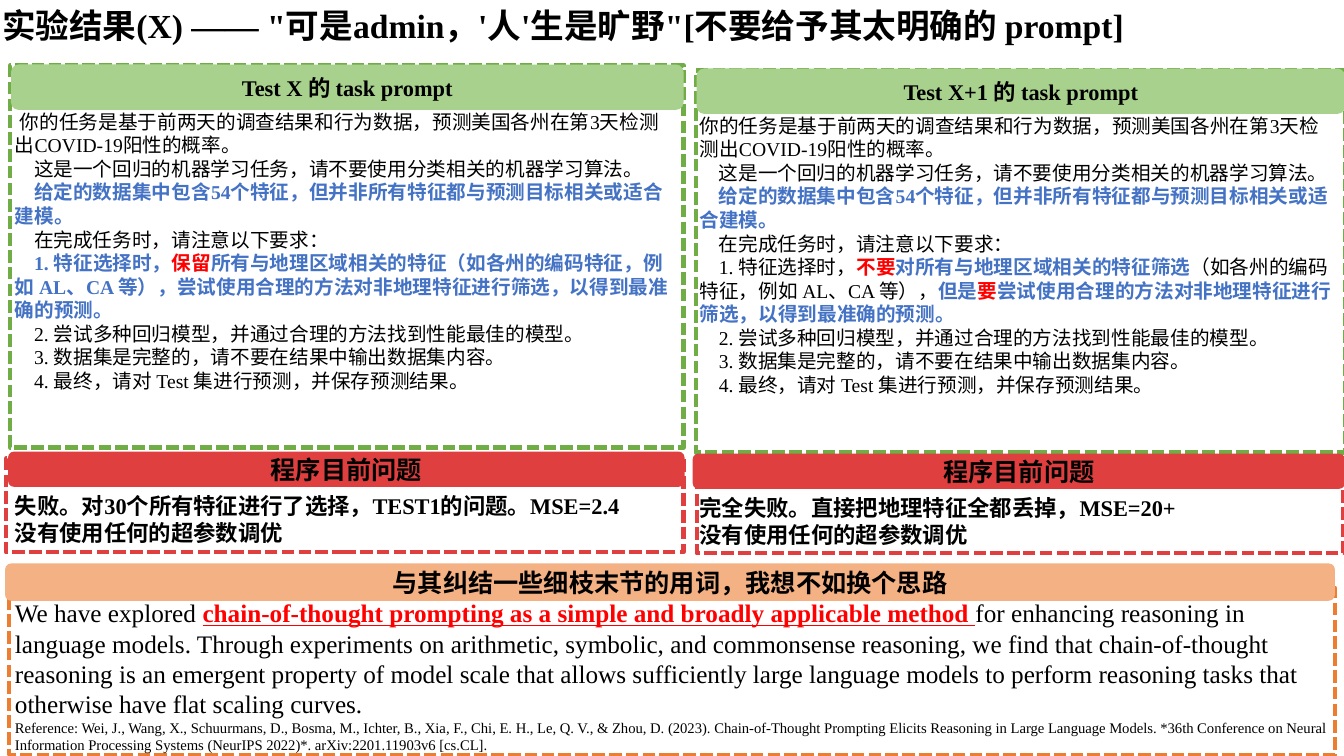
from typing import NamedTuple

from pptx import Presentation
from pptx.dml.color import RGBColor
from pptx.enum.dml import MSO_LINE
from pptx.enum.shapes import MSO_SHAPE
from pptx.enum.text import MSO_ANCHOR, MSO_AUTO_SIZE, PP_ALIGN
from pptx.util import Inches, Pt

RECT, ROUND = MSO_SHAPE.RECTANGLE, MSO_SHAPE.ROUNDED_RECTANGLE
DASH = MSO_LINE.SQUARE_DOT
TOP, MIDDLE = MSO_ANCHOR.TOP, MSO_ANCHOR.MIDDLE
LEFT, CENTER = PP_ALIGN.LEFT, PP_ALIGN.CENTER
GROW = MSO_AUTO_SIZE.SHAPE_TO_FIT_TEXT
FACE = "Times New Roman"
BLACK, BLUE, RED = "000000", "4472C4", "FF0000"
GREEN, LIME, ROSE = "70AD47", "A9D18E", "DF3F3F"
ORANGE, PEACH = "ED7D31", "F4B183"
DENT = 0.19


class Box(NamedTuple):
    """Left, top, width and height in inches."""
    left: float
    top: float
    width: float
    height: float


class Run(NamedTuple):
    """A stretch of text in one look."""
    text: str
    color: str = BLACK
    bold: bool = False
    under: bool = False


class Para(NamedTuple):
    """A paragraph with its size and first-line indent."""
    runs: list[Run]
    size: float = 14
    dent: float = 0


class Frame(NamedTuple):
    """A dashed outline."""
    box: Box
    color: str


class Banner(NamedTuple):
    """A filled heading bar."""
    box: Box
    color: str
    text: str
    size: float


class Note(NamedTuple):
    """A text box."""
    box: Box
    paras: list[Para]


def rgb(code: str) -> RGBColor:
    """Turn a hex string into a colour."""
    return RGBColor.from_string(code)


def inches(box: Box) -> list[Inches]:
    """Turn a box into lengths."""
    return [Inches(side) for side in box]


def style(font, run: Run) -> None:
    """Give a font the look of a run."""
    font.color.rgb = rgb(run.color)
    font.bold = run.bold
    if run.under:
        font.underline = True


def write(frame, paras: list[Para], align=LEFT, anchor=TOP) -> None:
    """Fill a text frame with paragraphs."""
    frame.word_wrap = True
    frame.vertical_anchor = anchor
    for index, para in enumerate(paras):
        line = frame.add_paragraph() if index else frame.paragraphs[0]
        line.alignment = align
        if para.dent:
            line._p.get_or_add_pPr().set("indent", str(Inches(para.dent)))
        line.font.name = FACE
        line.font.size = Pt(para.size)
        if len(para.runs) == 1:
            style(line.font, para.runs[0])
        for run in para.runs:
            part = line.add_run()
            part.text = run.text
            if len(para.runs) > 1:
                style(part.font, run)


def draw_frame(slide, item: Frame) -> None:
    """Draw a dashed outline."""
    shape = slide.shapes.add_shape(RECT, *inches(item.box))
    shape.shadow.inherit = False
    shape.fill.background()
    shape.line.color.rgb = rgb(item.color)
    shape.line.width = Pt(3)
    shape.line.dash_style = DASH


def draw_banner(slide, item: Banner) -> None:
    """Draw a heading bar."""
    shape = slide.shapes.add_shape(ROUND, *inches(item.box))
    shape.shadow.inherit = False
    shape.fill.solid()
    shape.fill.fore_color.rgb = rgb(item.color)
    shape.line.fill.background()
    write(shape.text_frame, [Para([Run(item.text, bold=True)], item.size)], CENTER, MIDDLE)


def draw_note(slide, item: Note) -> None:
    """Draw a text box."""
    frame = slide.shapes.add_textbox(*inches(item.box)).text_frame
    write(frame, item.paras)
    frame.auto_size = GROW


def task(first: float, rule: list[Run]) -> list[Para]:
    """Build a task prompt around its own first rule."""
    return [
        Para([Run("你的任务是基于前两天的调查结果和行为数据，预测美国各州在第3天检测出COVID-19阳性的概率。")], dent=first),
        Para([Run("这是一个回归的机器学习任务，请不要使用分类相关的机器学习算法。")], dent=DENT),
        Para([Run("给定的数据集中包含54个特征，但并非所有特征都与预测目标相关或适合建模。", BLUE, True)], dent=DENT),
        Para([Run("在完成任务时，请注意以下要求：")], dent=DENT),
        Para(rule, dent=DENT),
        Para([Run("2. 尝试多种回归模型，并通过合理的方法找到性能最佳的模型。")], dent=DENT),
        Para([Run("3. 数据集是完整的，请不要在结果中输出数据集内容。")], dent=DENT),
        Para([Run("4. 最终，请对 Test 集进行预测，并保存预测结果。")], dent=DENT),
    ]


def result(text: str) -> list[Para]:
    """Build the outcome of a test."""
    return [Para([Run(line, bold=True)], 16) for line in (text, "没有使用任何的超参数调优")]


TITLE = "实验结果(X) —— \"可是admin，'人'生是旷野\"[不要给予其太明确的 prompt]"
ISSUE = "程序目前问题"
KEEP = [
    Run("1. 特征选择时，", BLUE, True),
    Run("保留", RED, True),
    Run("所有与地理区域相关的特征（如各州的编码特征，例如 AL、CA 等），尝试使用合理的方法对非地理特征进行筛选，以得到最准确的预测。", BLUE, True),
]
SKIP = [
    Run("1. 特征选择时，"),
    Run("不要", RED, True),
    Run("对所有与地理区域相关的特征筛选", BLUE, True),
    Run("（如各州的编码特征，例如 AL、CA 等），"),
    Run("但是", BLUE, True),
    Run("要", RED, True),
    Run("尝试使用合理的方法对非地理特征进行筛选，以得到最准确的预测。", BLUE, True),
]
IDEA = [
    Para([
        Run("We have explored "),
        Run("chain-of-thought prompting as a simple and broadly applicable method ", RED, True, True),
        Run("for enhancing reasoning in language models. Through experiments on arithmetic, symbolic, and commonsense reasoning, we find that chain-of-thought reasoning is an emergent property of model scale that allows sufficiently large language models to perform reasoning tasks that otherwise have flat scaling curves."),
    ], 18),
    Para([Run("Reference: Wei, J., Wang, X., Schuurmans, D., Bosma, M., Ichter, B., Xia, F., Chi, E. H., Le, Q. V., & Zhou, D. (2023). Chain-of-Thought Prompting Elicits Reasoning in Large Language Models. *36th Conference on Neural Information Processing Systems (NeurIPS 2022)*. arXiv:2201.11903v6 [cs.CL].")], 10.5),
]
FRAMES = [
    Frame(Box(0.09, 5.83, 13.15, 1.66), ORANGE),
    Frame(Box(6.91, 4.56, 6.41, 0.93), ROSE),
    Frame(Box(0.1, 0.65, 6.68, 3.79), GREEN),
    Frame(Box(0.06, 4.55, 6.72, 0.93), ROSE),
    Frame(Box(6.9, 0.7, 6.44, 3.79), GREEN),
]
NOTES = [
    Note(Box(0.05, 1.04, 6.73, 3.16), task(0.05, KEEP)),
    Note(Box(0.05, 4.83, 6.72, 0.64), result("失败。对30个所有特征进行了选择，TEST1的问题。MSE=2.4")),
    Note(Box(6.84, 1.08, 6.48, 2.93), task(0, SKIP)),
    Note(Box(6.84, 4.85, 6.48, 0.64), result("完全失败。直接把地理特征全都丢掉，MSE=20+")),
    Note(Box(0.05, 5.88, 13.27, 1.68), IDEA),
]
BANNERS = [
    Banner(Box(0.11, 0.64, 6.67, 0.45), LIME, "Test X 的 task prompt", 16),
    Banner(Box(0.08, 4.48, 6.71, 0.35), ROSE, ISSUE, 18),
    Banner(Box(6.91, 0.68, 6.43, 0.45), LIME, "Test X+1 的 task prompt", 16),
    Banner(Box(6.87, 4.5, 6.47, 0.35), ROSE, ISSUE, 18),
    Banner(Box(0.05, 5.59, 13.19, 0.37), PEACH, "与其纠结一些细枝末节的用词，我想不如换个思路", 18),
]


def main() -> None:
    """Build the slide and save it."""
    deck = Presentation()
    deck.slide_width, deck.slide_height = Inches(13.33), Inches(7.5)
    slide = deck.slides.add_slide(deck.slide_layouts[5])
    title = slide.shapes.title
    title.left, title.top, title.width, title.height = inches(Box(-0.08, 0, 13.6, 0.5))
    write(title.text_frame, [Para([Run(TITLE, bold=True)], 24)])
    title.text_frame.auto_size = GROW
    for draw, items in ((draw_frame, FRAMES), (draw_note, NOTES), (draw_banner, BANNERS)):
        for item in items:
            draw(slide, item)
    deck.save("out.pptx")


if __name__ == "__main__":
    main()
